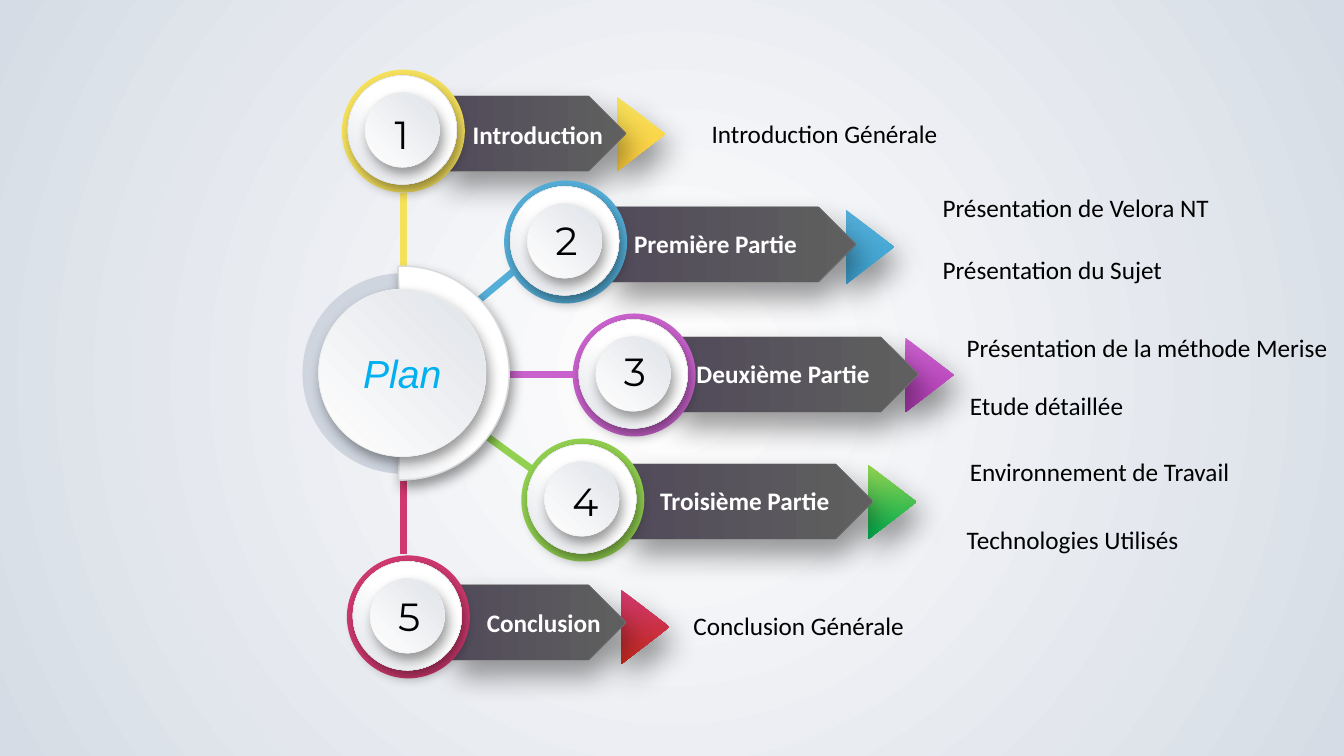
from dataclasses import dataclass

from lxml.etree import SubElement
from pptx import Presentation
from pptx.dml.color import RGBColor
from pptx.enum.shapes import MSO_CONNECTOR, MSO_SHAPE
from pptx.enum.text import MSO_ANCHOR, MSO_AUTO_SIZE, PP_ALIGN
from pptx.oxml.ns import qn
from pptx.util import Inches, Pt

WHITE = RGBColor(0xFF, 0xFF, 0xFF)
BLACK = RGBColor(0, 0, 0)
MIST = RGBColor(0xD6, 0xDC, 0xE5)
PEARL = RGBColor(0xE0, 0xE3, 0xE8)
HUB_GREY = RGBColor(0xCE, 0xD5, 0xDF)
DISC_EDGE = RGBColor(0xD9, 0xD9, 0xD9)
KNOB_EDGE = RGBColor(0xED, 0xED, 0xED)
BANNER_EDGE = RGBColor(0x80, 0x80, 0x80)
BANNER_PLUM = RGBColor(0x52, 0x4B, 0x5A)
BANNER_GREY = RGBColor(0x5F, 0x5F, 0x5F)
PLAN_BLUE = RGBColor(0x00, 0xB0, 0xF0)
YELLOW, GOLD = RGBColor(0xF5, 0xE1, 0x5C), RGBColor(0xFF, 0xCE, 0x3B)
BLUE, DEEP_BLUE = RGBColor(0x54, 0xAE, 0xD8), RGBColor(0x3E, 0xA4, 0xD3)
VIOLET, DEEP_VIOLET = RGBColor(0xCA, 0x62, 0xCD), RGBColor(0xB2, 0x3A, 0xB6)
LIME, GREEN = RGBColor(0x92, 0xD0, 0x50), RGBColor(0x00, 0xB0, 0x50)
ROSE, RED = RGBColor(0xD0, 0x39, 0x6F), RGBColor(0xC6, 0x29, 0x1C)

TOP_RIGHT = (100, 0, 0, 100)  # focus of a circular gradient: left, top, right, bottom
CENTRE = (50, 50, 50, 50)
BANNER_HEIGHT = 0.75
RING, DISC, KNOB = 1.22, 1.08, 0.74


@dataclass
class Branch:
    name: str
    colors: tuple  # ring and link, end of the arrow's gradient
    link: tuple  # from x, from y, to x, to y
    badge: tuple  # left, top
    digit_drop: float
    banner: tuple  # left, top, width
    arrow: tuple  # centre x, centre y
    label: tuple  # left, top
    topics: tuple  # (text, left, top)


BRANCHES = [
    Branch("Introduction", (YELLOW, GOLD), (4, 2.65, 4, 1.91), (3.39, 0.69), 0.36,
           (4.37, 0.95, 1.84), (6.36, 1.33), (4.59, 1.13),
           (("Introduction Générale", 6.96, 1.12),)),
    Branch("Première Partie", (BLUE, DEEP_BLUE), (4.76, 2.97, 5.12, 2.67), (5, 1.79), 0.31,
           (6.05, 2.05, 2.44), (8.63, 2.45), (6.19, 2.22),
           (("Présentation de Velora NT", 9.25, 1.86), ("Présentation du Sujet", 9.25, 2.47))),
    Branch("Deuxième Partie", (VIOLET, DEEP_VIOLET), (5.05, 3.72, 5.71, 3.72), (5.68, 3.11), 0.29,
           (6.67, 3.34, 2.44), (9.22, 3.72), (6.81, 3.51),
           (("Présentation de la méthode Merise", 9.49, 3.25), ("Etude détaillée", 9.52, 3.82))),
    Branch("Troisième Partie", (LIME, GREEN), (4.83, 4.33, 5.27, 4.65), (5.17, 4.35), 0.34,
           (6.22, 4.6, 2.44), (8.85, 4.98), (6.45, 4.77),
           (("Environnement de Travail", 9.52, 4.48), ("Technologies Utilisés", 9.49, 5.15))),
    Branch("Conclusion", (ROSE, RED), (4, 4.77, 4, 5.5), (3.44, 5.51), 0.32,
           (4.46, 5.8, 1.75), (6.4, 6.22), (4.73, 5.98),
           (("Conclusion Générale", 6.78, 6.01),)),
]


def set_gradient(fill, element, start, end, first=0, last=100, focus=None):
    """Linear gradient at 0 degrees, or circular when a focus is given."""
    fill.gradient()
    fill.gradient_angle = 0
    for stop, color, position in zip(fill.gradient_stops, (start, end), (first, last)):
        stop.color.rgb = color
        stop.position = position / 100
    if focus:
        gradient = next(element.iter(qn("a:gradFill")))
        gradient.remove(gradient.find(qn("a:lin")))
        circle = SubElement(gradient, qn("a:path"), {"path": "circle"})
        SubElement(circle, qn("a:fillToRect"),
                   {side: str(share * 1000) for side, share in zip("ltrb", focus)})


def set_shadow(shape, blur, distance):
    effects = shape._element.spPr.find(qn("a:effectLst"))
    shadow = SubElement(effects, qn("a:outerShdw"), {
        "blurRad": str(Pt(blur)), "dist": str(Pt(distance)), "dir": str(65 * 60000),
        "algn": "t", "rotWithShape": "0"})
    color = SubElement(shadow, qn("a:srgbClr"), {"val": str(BLACK)})
    SubElement(color, qn("a:alpha"), {"val": "40000"})


def add_part(slide, kind, left, top, width, height, edge=None, edge_width=0.25):
    part = slide.shapes.add_shape(kind, Inches(left), Inches(top), Inches(width), Inches(height))
    part.shadow.inherit = False
    if edge is None:
        part.line.fill.background()
    else:
        part.line.color.rgb = edge
        part.line.width = Pt(edge_width)
    return part


def add_solid_circle(slide, left, top, size, color):
    circle = add_part(slide, MSO_SHAPE.OVAL, left, top, size, size)
    circle.fill.solid()
    circle.fill.fore_color.rgb = color


def add_glossy(slide, kind, left, top, size, raised, edge_width=0.25):
    edge = KNOB_EDGE if raised else DISC_EDGE
    part = add_part(slide, kind, left, top, size, size, edge, edge_width)
    colors = (PEARL, WHITE, 0) if raised else (WHITE, PEARL, 50)
    set_gradient(part.fill, part._element, *colors, focus=TOP_RIGHT)
    set_shadow(part, 9, 5)
    return part


def write(frame, text, size, font, color, bold=False, italic=False, align=PP_ALIGN.LEFT):
    frame.word_wrap = True
    frame.auto_size = MSO_AUTO_SIZE.NONE
    frame.vertical_anchor = MSO_ANCHOR.TOP
    paragraph = frame.paragraphs[0]
    paragraph.text = text
    paragraph.alignment = align
    style = paragraph.font
    style.size, style.name, style.bold, style.italic = Pt(size), font, bold, italic
    style.color.rgb = color


def add_text(slide, left, top, width, height, text, size, font, color, **style):
    box = slide.shapes.add_textbox(Inches(left), Inches(top), Inches(width), Inches(height))
    write(box.text_frame, text, size, font, color, **style)


def add_link(slide, ends, color):
    link = slide.shapes.add_connector(MSO_CONNECTOR.STRAIGHT, *map(Inches, ends))
    link.line.color.rgb = color
    link.line.width = Pt(5)
    SubElement(link._element.spPr, qn("a:effectLst"))


def add_hub(slide, left, top):
    add_solid_circle(slide, left + 0.07, top + 0.07, 1.99, HUB_GREY)
    half = add_glossy(slide, MSO_SHAPE.PIE, left, top, 2.12, raised=False, edge_width=1)
    half.adjustments[0], half.adjustments[1] = 160.62, 55.21
    add_glossy(slide, MSO_SHAPE.OVAL, left + 0.23, top + 0.23, 1.66, raised=True, edge_width=0.5)

    # The title sits on top of the hub
    title = slide.shapes.title
    title.left, title.top = Inches(left + 0.5), Inches(top + 0.78)
    title.width, title.height = Inches(1.12), Inches(0.57)
    write(title.text_frame, "Plan", 28, "Arial", PLAN_BLUE, italic=True, align=PP_ALIGN.CENTER)
    slide.shapes._spTree.append(title._element)


def add_arrow(slide, centre_x, centre_y, start, end):
    width, height = 0.74, 0.48
    arrow = add_part(slide, MSO_SHAPE.ISOSCELES_TRIANGLE,
                     centre_x - width / 2, centre_y - height / 2, width, height)
    arrow.rotation = 90
    set_gradient(arrow.fill, arrow._element, start, end, last=99)
    set_shadow(arrow, 21, 12)


def add_banner(slide, left, top, width):
    banner = add_part(slide, MSO_SHAPE.PENTAGON, left, top, width, BANNER_HEIGHT, BANNER_EDGE)
    set_gradient(banner.fill, banner._element, BANNER_PLUM, BANNER_GREY, last=98)
    set_shadow(banner, 21, 12)


def add_badge(slide, left, top, number, digit_drop, color):
    add_solid_circle(slide, left, top, RING, color)
    for size, raised in ((DISC, False), (KNOB, True)):
        inset = (RING - size) / 2 - 0.01
        add_glossy(slide, MSO_SHAPE.OVAL, left + inset, top + inset, size, raised)
    add_text(slide, left + 0.41, top + digit_drop, 0.37, 0.57, str(number), 28,
             "Montserrat", BLACK, align=PP_ALIGN.CENTER)


def add_branch(slide, number, branch):
    add_arrow(slide, *branch.arrow, *branch.colors)
    add_banner(slide, *branch.banner)
    add_badge(slide, *branch.badge, number, branch.digit_drop, branch.colors[0])
    add_text(slide, *branch.label, 2.04, 0.4, branch.name, 18, "Calibri", WHITE, bold=True)
    for topic, left, top in branch.topics:
        add_text(slide, left, top, 3.84, 0.4, topic, 18, "Calibri", BLACK)


def build_plan_slide(deck):
    slide = deck.slides.add_slide(deck.slide_layouts[5])
    set_gradient(slide.background.fill, slide._element, WHITE, MIST, focus=CENTRE)
    # Links lie under the hub and the badges
    for branch in BRANCHES:
        add_link(slide, branch.link, branch.colors[0])
    add_hub(slide, 2.93, 2.64)
    for number, branch in enumerate(BRANCHES, start=1):
        add_branch(slide, number, branch)


def main():
    deck = Presentation()
    deck.slide_width, deck.slide_height = Inches(13.33), Inches(7.5)
    build_plan_slide(deck)
    deck.save("out.pptx")


if __name__ == "__main__":
    main()
